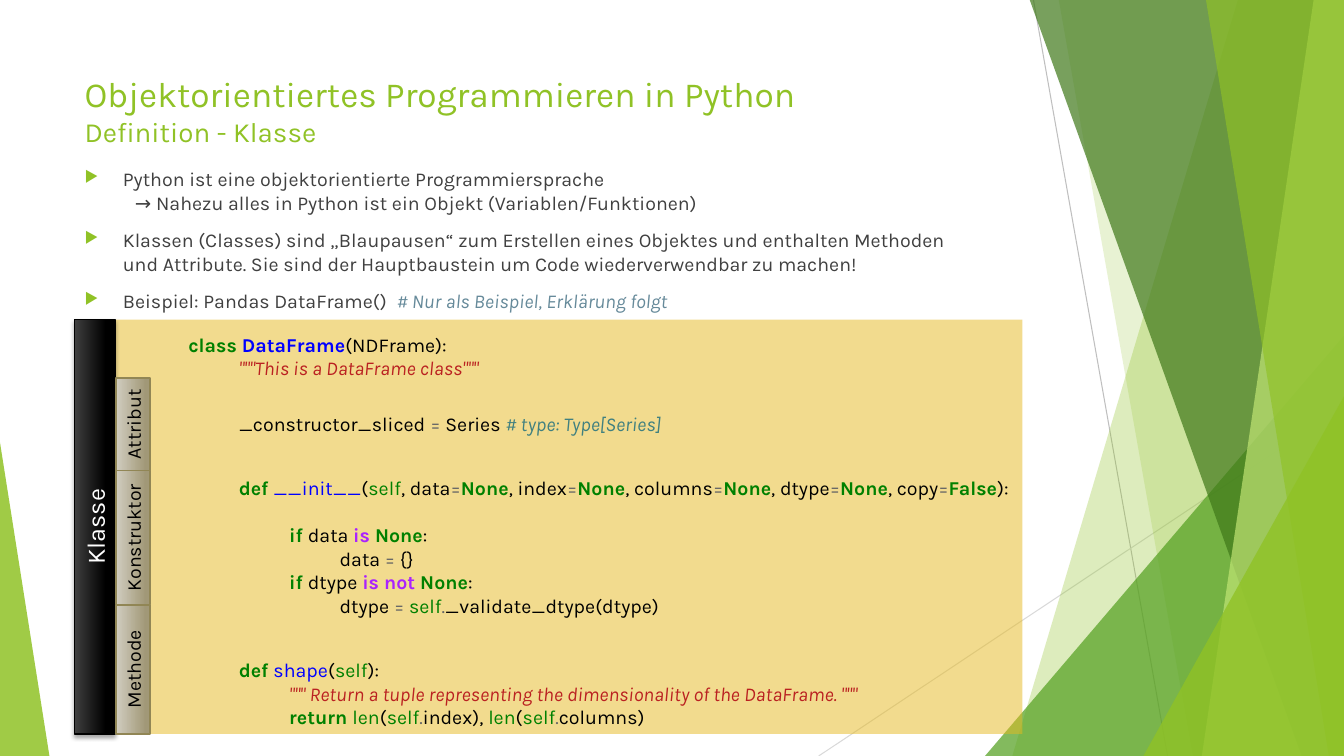
from lxml.etree import SubElement
from pptx import Presentation
from pptx.dml.color import RGBColor
from pptx.enum.shapes import MSO_CONNECTOR, MSO_SHAPE
from pptx.enum.text import MSO_ANCHOR, PP_ALIGN
from pptx.oxml.ns import qn
from pptx.util import Inches, Pt

FONT = "Karla"
WIDTH, HEIGHT = 13.33, 7.5
BLACK = RGBColor(0, 0, 0)
WHITE = RGBColor(255, 255, 255)
LIME = RGBColor(0x90, 0xC2, 0x26)
PALE_LIME = RGBColor(0xC0, 0xE4, 0x74)
GREEN = RGBColor(0x54, 0xA0, 0x21)
DARK_GREEN = RGBColor(0x3F, 0x78, 0x19)
GOLD = RGBColor(0xE6, 0xB9, 0x1E)
TEXT_GRAY = RGBColor(0x40, 0x40, 0x40)
NOTE_BLUE = RGBColor(0x66, 0x8A, 0x9A)
CHARCOAL = RGBColor(0x3F, 0x3F, 0x3F)
TAG_LIGHT = RGBColor(0xD1, 0xCD, 0xC0)
TAG_DARK = RGBColor(0xA1, 0x98, 0x77)
TAG_LINE = RGBColor(0x91, 0x86, 0x55)

# Rays: start, end, colour
RAYS = [
    ((10.25, 0), (11.58, HEIGHT), RGBColor(0xBF, 0xBF, 0xBF)),
    ((WIDTH, 4.03), (8.12, HEIGHT), RGBColor(0xD9, 0xD9, 0xD9)),
]
# Bands reach the right edge: ("band", left at top, left at bottom, colour, opacity)
# Triangles stand on the bottom: ("triangle", left, top, width, apex, colour, opacity)
DECORATIONS = [
    ("band", 12.28, 10.04, LIME, 30),
    ("band", 10.5, 11.83, LIME, 20),
    ("triangle", 9.77, 3.33, 3.56, 1, GREEN, 72),
    ("band", 10.21, 12.91, DARK_GREEN, 70),
    ("band", 13.03, 11.92, PALE_LIME, 70),
    ("band", 11.96, 13.18, LIME, 65),
    ("triangle", 11.34, 3.93, 1.99, 1, LIME, 80),
    ("triangle", 0, 4.39, 0.49, 0, LIME, 85),
]
TITLE = [("Objektorientiertes Programmieren in Python", 25.2), ("Definition - Klasse", 19.8)]
BULLETS = [
    [("Python ist eine objektorientierte Programmiersprache\v"
      "\t→ Nahezu alles in Python ist ein Objekt (Variablen/Funktionen)", "body")],
    [("Klassen (Classes) sind „Blaupausen“ zum Erstellen eines Objektes und enthalten Methoden "
      "und Attribute. Sie sind der Hauptbaustein um Code wiederverwendbar zu machen!", "body")],
    [("Beispiel: Pandas DataFrame()  ", "body"), ("# Nur als Beispiel, Erklärung folgt", "note")],
]
# Style: colour, bold, italic
STYLES = {
    "body": (TEXT_GRAY, False, False),
    "note": (NOTE_BLUE, False, True),
    "plain": (BLACK, False, False),
    "keyword": (RGBColor(0, 0x80, 0), True, False),
    "builtin": (RGBColor(0, 0x80, 0), False, False),
    "class": (RGBColor(0, 0, 0xFF), True, False),
    "function": (RGBColor(0, 0, 0xFF), False, False),
    "operator": (RGBColor(0x66, 0x66, 0x66), False, False),
    "word": (RGBColor(0xAA, 0x22, 0xFF), True, False),
    "string": (RGBColor(0xBA, 0x21, 0x21), False, True),
    "comment": (RGBColor(0x40, 0x80, 0x80), False, True),
}
PARAMETERS = [("data", "None"), ("index", "None"), ("columns", "None"),
              ("dtype", "None"), ("copy", "False")]
SIGNATURE = [run for name, default in PARAMETERS
             for run in ((f", {name}", "plain"), ("=", "operator"), (default, "keyword"))]
# Code line: indent level, points of space before, runs
CODE = [
    (0, 0, [("class ", "keyword"), ("DataFrame", "class"), ("(NDFrame):", "plain")]),
    (1, 0, [('"""This is a DataFrame class"""', "string")]),
    (1, 23, [("_constructor_sliced ", "plain"), ("=", "operator"), (" Series ", "plain"),
             ("# type: Type[Series]", "comment")]),
    (1, 29, [("def ", "keyword"), ("__init__", "function"), ("(", "plain"), ("self", "builtin"),
             *SIGNATURE, ("):", "plain")]),
    (2, 17, [("if ", "keyword"), ("data ", "plain"), ("is ", "word"), ("None", "keyword"),
             (":", "plain")]),
    (3, 0, [("data ", "plain"), ("=", "operator"), (" {}", "plain")]),
    (2, 0, [("if ", "keyword"), ("dtype ", "plain"), ("is not ", "word"), ("None", "keyword"),
            (":", "plain")]),
    (3, 0, [("dtype ", "plain"), ("= ", "operator"), ("self", "builtin"), (".", "operator"),
            ("_validate_dtype(dtype)", "plain")]),
    (1, 29, [("def ", "keyword"), ("shape", "function"), ("(", "plain"), ("self", "builtin"),
             ("):", "plain")]),
    (2, 0, [('""" Return a tuple representing the dimensionality of the DataFrame. """',
             "string")]),
    (2, 0, [("return ", "keyword"), ("len", "builtin"), ("(", "plain"), ("self", "builtin"),
            (".", "operator"), ("index), ", "plain"), ("len", "builtin"), ("(", "plain"),
            ("self", "builtin"), (".", "operator"), ("columns)", "plain")]),
]
# Tag: label, top, height on the slide
TAGS = [("Attribut", 3.75, 0.92), ("Konstruktor", 4.67, 1.33), ("Methode", 6.0, 1.28)]


def fill_shape(shape, color, opacity):
    shape.shadow.inherit = False
    shape.fill.solid()
    shape.fill.fore_color.rgb = color
    shape.line.fill.background()
    color_element = shape.element.spPr.find(qn("a:solidFill"))[0]
    SubElement(color_element, qn("a:alpha"), val=str(opacity * 1000))


def add_band(shapes, top_left, bottom_left, color, opacity):
    builder = shapes.build_freeform(Inches(top_left), Inches(-0.01), scale=1.0)
    corners = [(WIDTH, -0.01), (WIDTH, HEIGHT), (bottom_left, HEIGHT)]
    builder.add_line_segments([(Inches(x), Inches(y)) for x, y in corners], close=True)
    fill_shape(builder.convert_to_shape(), color, opacity)


def add_triangle(shapes, left, top, width, apex, color, opacity):
    triangle = shapes.add_shape(MSO_SHAPE.ISOSCELES_TRIANGLE, Inches(left), Inches(top),
                                Inches(width), Inches(HEIGHT - top))
    triangle.adjustments[0] = apex
    fill_shape(triangle, color, opacity)


def add_text_frame(shapes, left, top, width, height):
    box = shapes.add_textbox(Inches(left), Inches(top), Inches(width), Inches(height))
    box.text_frame.word_wrap = True
    return box.text_frame


def add_paragraph(frame, index, runs, space_before):
    paragraph = frame.paragraphs[0] if index == 0 else frame.add_paragraph()
    paragraph.space_before = Pt(space_before)
    paragraph.font.name, paragraph.font.size = FONT, Pt(14)
    for text, style in runs:
        for part, piece in enumerate(text.split("\v")):
            if part:
                paragraph.add_line_break()
            run = paragraph.add_run()
            run.text = piece
            run.font.name, run.font.size = FONT, Pt(14)
            run.font.color.rgb, run.font.bold, run.font.italic = STYLES[style]
    return paragraph


def add_upright_bar(shapes, label, left, top, width, height, size, color, stops, line_color):
    """Add a bar that is turned to read upwards; the box is given as seen on the slide."""
    bar = shapes.add_shape(MSO_SHAPE.RECTANGLE, Inches(left + (width - height) / 2),
                           Inches(top + (height - width) / 2), Inches(height), Inches(width))
    bar.rotation = 270
    bar.shadow.inherit = False
    bar.fill.gradient()
    bar.fill.gradient_angle = 270
    for stop, (position, stop_color) in zip(bar.fill.gradient_stops, stops):
        stop.position, stop.color.rgb = position, stop_color
    bar.line.color.rgb, bar.line.width = line_color, Pt(1)
    frame = bar.text_frame
    frame.margin_left = frame.margin_right = Inches(0.05)
    frame.vertical_anchor = MSO_ANCHOR.MIDDLE
    paragraph = frame.paragraphs[0]
    paragraph.text, paragraph.alignment = label, PP_ALIGN.CENTER
    paragraph.font.name, paragraph.font.size = FONT, Pt(size)
    paragraph.font.color.rgb = color
    return bar


presentation = Presentation()
presentation.slide_width, presentation.slide_height = Inches(WIDTH), Inches(HEIGHT)
slide = presentation.slides.add_slide(presentation.slide_layouts[6])
shapes = slide.shapes

for start, end, color in RAYS:
    ray = shapes.add_connector(MSO_CONNECTOR.STRAIGHT, *map(Inches, start + end))
    ray.line.color.rgb, ray.line.width = color, Pt(0.75)
    SubElement(ray.element.spPr, qn("a:effectLst"))
for kind, *geometry in DECORATIONS:
    (add_band if kind == "band" else add_triangle)(shapes, *geometry)

panel = shapes.add_shape(MSO_SHAPE.RECTANGLE, Inches(0.74), Inches(3.17), Inches(9.4), Inches(4.11))
fill_shape(panel, GOLD, 50)

title = add_text_frame(shapes, 0.74, 0.67, 9.4, 0.74)
for index, (text, size) in enumerate(TITLE):
    paragraph = title.paragraphs[0] if index == 0 else title.add_paragraph()
    paragraph.text = text
    paragraph.font.name, paragraph.font.size = FONT, Pt(size)
    paragraph.font.color.rgb = LIME

body = add_text_frame(shapes, 0.74, 1.61, 9.05, 1.56)
for index, runs in enumerate(BULLETS):
    properties = add_paragraph(body, index, runs, 10 if index else 0)._p.get_or_add_pPr()
    properties.set("marL", str(Inches(0.38)))
    properties.set("indent", str(-Inches(0.38)))
    bullet_parts = [SubElement(properties, qn(tag)) for tag in ("a:buClr", "a:buSzPct", "a:buChar")]
    SubElement(bullet_parts[0], qn("a:srgbClr"), val=str(LIME))
    bullet_parts[1].set("val", "80000")
    bullet_parts[2].set("char", "▶")
    properties.append(properties.find(qn("a:defRPr")))

class_bar = add_upright_bar(shapes, "Klasse", 0.74, 3.17, 0.4, 4.11, 18, WHITE,
                            [(0, CHARCOAL), (0.78, BLACK)], BLACK)
shadow = SubElement(class_bar.element.spPr.find(qn("a:effectLst")), qn("a:outerShdw"),
                    blurRad=str(Pt(3)), dist=str(Pt(2)), dir="5400000", rotWithShape="0")
shadow_color = SubElement(shadow, qn("a:srgbClr"), val=str(BLACK))
SubElement(shadow_color, qn("a:alpha"), val="35000")

code = add_text_frame(shapes, 1.77, 3.25, 8.5, 3.82)
for index, (level, space_before, runs) in enumerate(CODE):
    paragraph = add_paragraph(code, index, runs, space_before)
    paragraph._p.get_or_add_pPr().set("marL", str(Inches(0.5 * level)))

for label, top, height in TAGS:
    add_upright_bar(shapes, label, 1.15, top, 0.34, height, 14, BLACK,
                    [(0, TAG_LIGHT), (0.88, TAG_DARK)], TAG_LINE)

presentation.save("out.pptx")
